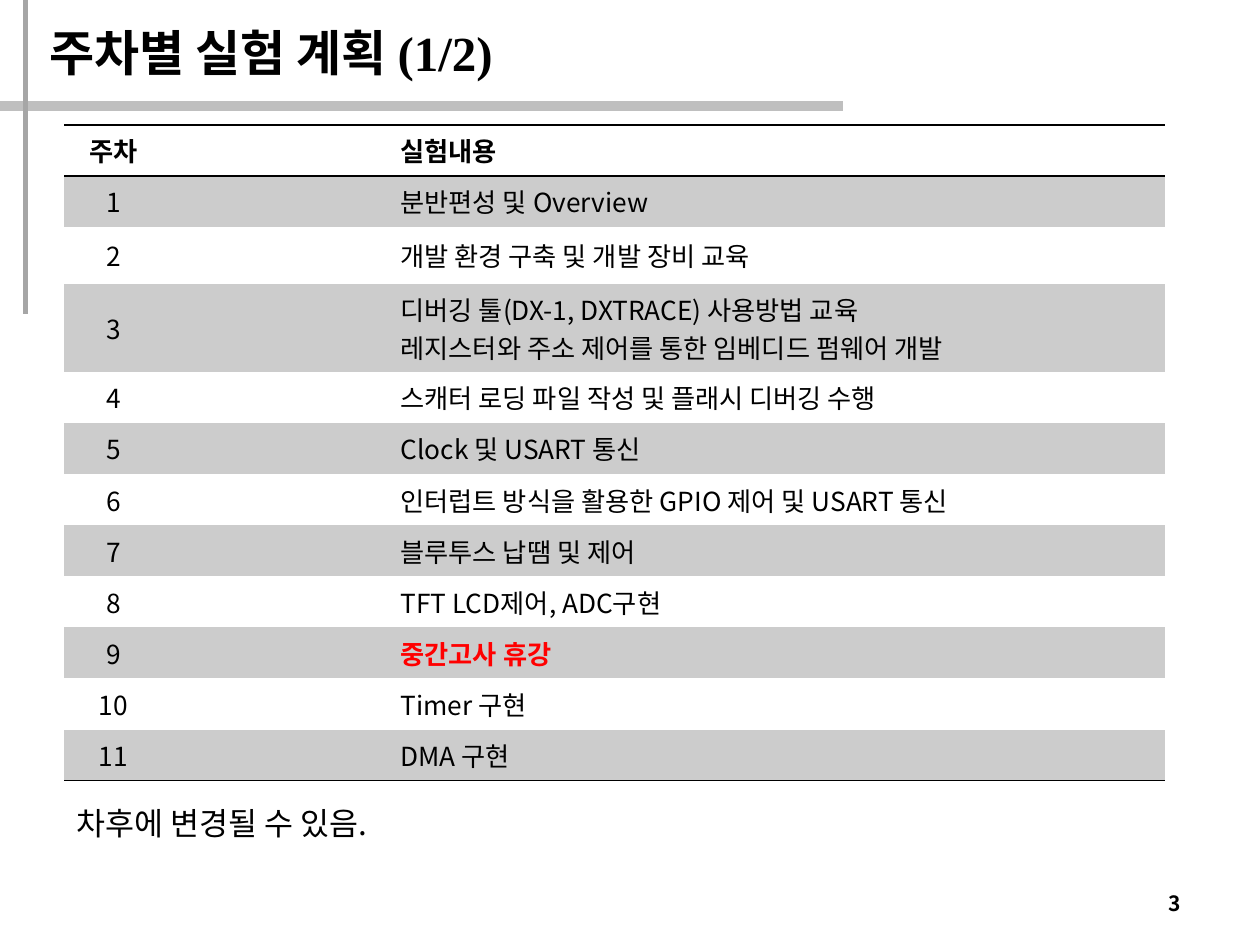
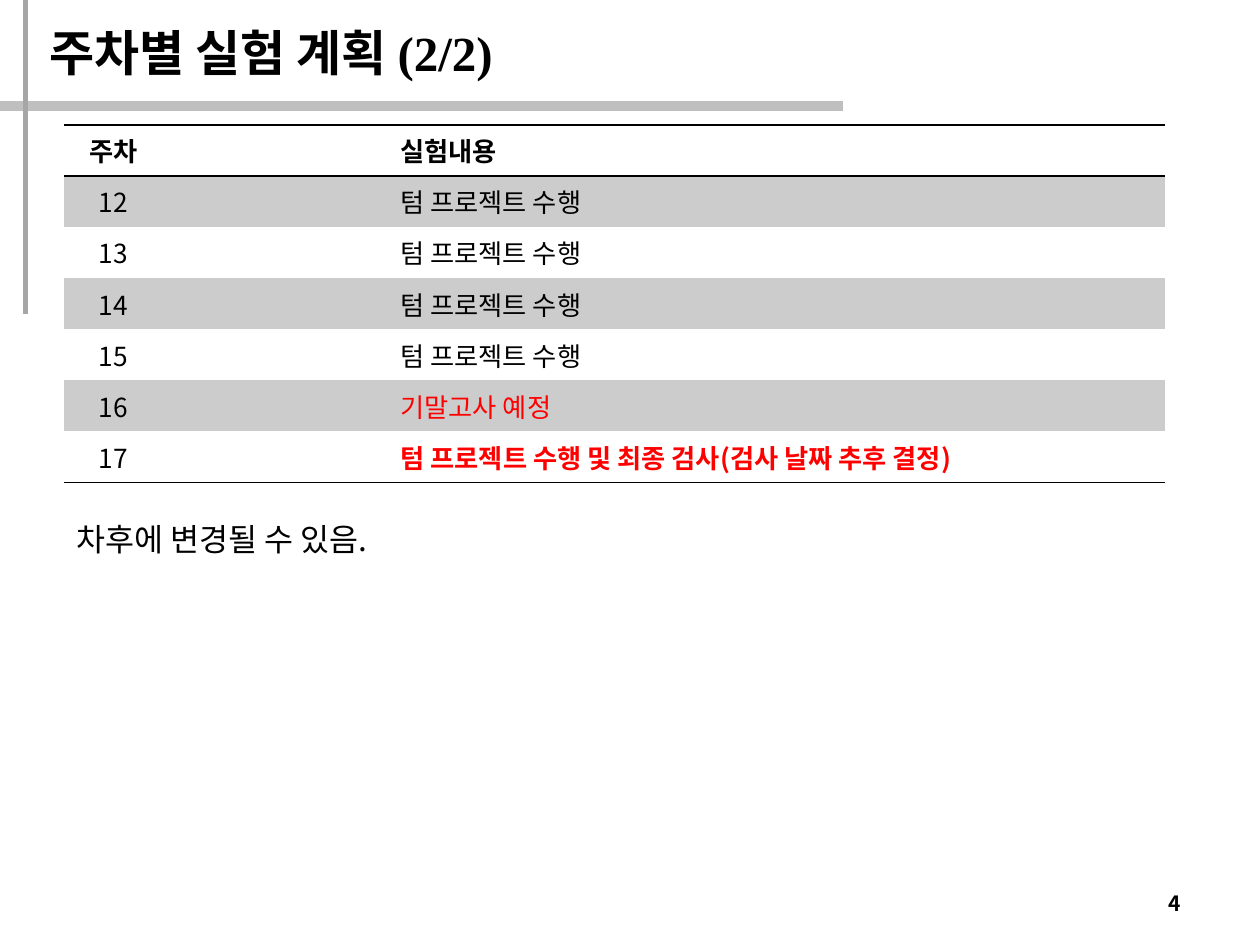
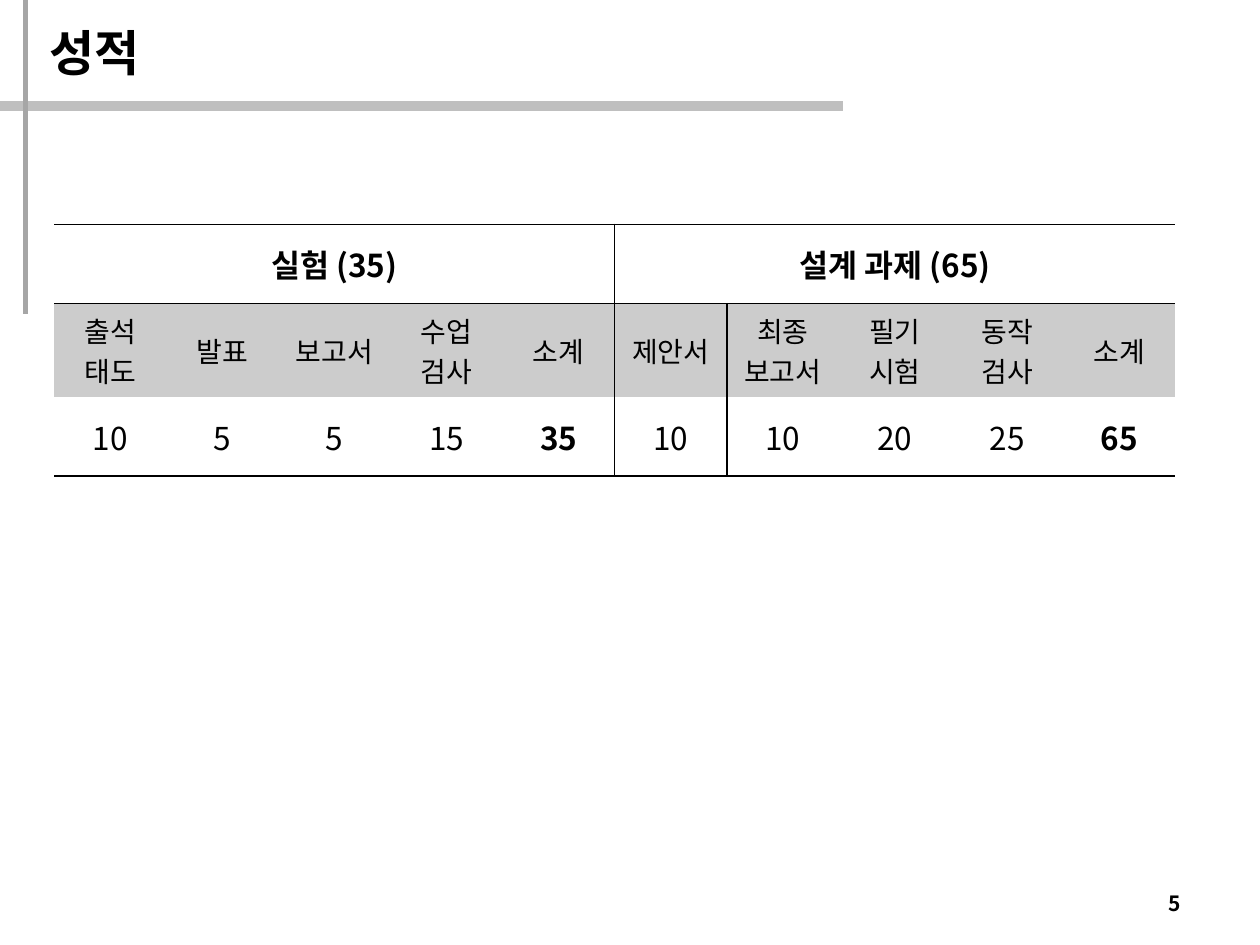
import dataclasses

import pptx
import pptx.dml.color
import pptx.enum.shapes
import pptx.enum.text
import pptx.oxml
import pptx.oxml.ns
import pptx.util

Inches, Pt = pptx.util.Inches, pptx.util.Pt
PP_ALIGN = pptx.enum.text.PP_ALIGN
MIDDLE = pptx.enum.text.MSO_ANCHOR.MIDDLE
qn = pptx.oxml.ns.qn


@dataclasses.dataclass(frozen=True)
class Theme:
    ink: str = "000000"
    alert: str = "FF0000"
    band: str = "CCCCCC"
    wide_rule: str = "BFBFBF"
    thin_rule: str = "A6A6A6"
    title_font: str = "Times New Roman"
    body_font: str = "Noto Sans CJK KR"
    title: int = 28
    large: int = 18
    criterion: int = 16
    schedule: int = 15
    page: int = 12
    plain_table: str = "{2D5ABB26-0587-4C30-8999-92F81FD0307C}"


THEME = Theme()

# Content
SCHEDULE_HEAD = ("주차", "실험내용")
CHANGE_NOTE = "차후에 변경될 수 있음."
RED, BOLD_RED = {"color": THEME.alert}, {"color": THEME.alert, "bold": True}
TERM_PROJECT = "텀 프로젝트 수행"
SCHEDULES = [
    {
        "title": "주차별 실험 계획 (1/2)",
        "first_week": 1,
        "topics": [
            "분반편성 및 Overview",
            "개발 환경 구축 및 개발 장비 교육",
            "디버깅 툴(DX-1, DXTRACE) 사용방법 교육\n"
            "레지스터와 주소 제어를 통한 임베디드 펌웨어 개발",
            "스캐터 로딩 파일 작성 및 플래시 디버깅 수행",
            "Clock 및 USART 통신",
            "인터럽트 방식을 활용한 GPIO 제어 및 USART 통신",
            "블루투스 납땜 및 제어",
            "TFT LCD제어, ADC구현",
            "중간고사 휴강",
            "Timer 구현",
            "DMA 구현",
        ],
        "emphasis": {9: BOLD_RED},
        "tall_weeks": {2: 0.45, 3: 0.7},
        "note_top": 6.33,
    },
    {
        "title": "주차별 실험 계획 (2/2)",
        "first_week": 12,
        "topics": [TERM_PROJECT] * 4 + [
            "기말고사 예정",
            "텀 프로젝트 수행 및 최종 검사(검사 날짜 추후 결정)",
        ],
        "emphasis": {16: RED, 17: BOLD_RED},
        "tall_weeks": {},
        "note_top": 4.08,
    },
]
GRADING_TITLE = "성적"
GRADING = [
    ("실험 (35)", [("출석\n태도", 10), ("발표", 5), ("보고서", 5),
                 ("수업\n검사", 15), ("소계", 35)]),
    ("설계 과제 (65)", [("제안서", 10), ("최종\n보고서", 10), ("필기\n시험", 20),
                    ("동작\n검사", 25), ("소계", 65)]),
]
FIRST_PAGE = 3

# Layout
SCHEDULE_COLUMNS = [0.78, 1.79, 6.17]
WEEK_HEIGHT = Inches(2.84) // 7
GRADING_COLUMN = 0.89
GRADING_ROWS = [0.63, 0.74, 0.63]


# Text and lines
def rgb(color):
    return pptx.dml.color.RGBColor.from_string(color)


def write(frame, text, size, bold=False, color=THEME.ink,
          font=THEME.body_font, align=PP_ALIGN.LEFT):
    for index, line in enumerate(text.split("\n")):
        paragraph = frame.add_paragraph() if index else frame.paragraphs[0]
        paragraph.alignment = align
        run = paragraph.add_run()
        run.text = line
        run.font.name, run.font.size, run.font.bold = font, Pt(size), bold
        run.font.color.rgb = rgb(color)
        east_asian = pptx.oxml.parse_xml(
            f'<a:ea {pptx.oxml.ns.nsdecls("a")} typeface="{THEME.body_font}"/>')
        run.font._element.find(qn("a:latin")).addnext(east_asian)


def text_box(slide, box, text, size, **style):
    frame = slide.shapes.add_textbox(*map(Inches, box)).text_frame
    frame.word_wrap = True
    write(frame, text, size, **style)
    return frame


def rule(slide, start, end, color, width):
    line = slide.shapes.add_connector(
        pptx.enum.shapes.MSO_CONNECTOR.STRAIGHT, *map(Inches, start + end))
    line.line.color.rgb, line.line.width = rgb(color), Pt(width)
    line.element.spPr.append(pptx.oxml.parse_xml(
        f'<a:effectLst {pptx.oxml.ns.nsdecls("a")}/>'))


# Parts shared by all slides
def new_slide(deck, title):
    slide = deck.slides.add_slide(deck.slide_layouts[5])
    rule(slide, (-0.01, 0.84), (6.69, 0.84), THEME.wide_rule, 6)
    rule(slide, (0.2, 0), (0.2, 2.49), THEME.thin_rule, 3)
    heading = slide.shapes.title
    heading.left, heading.top, heading.width, heading.height = map(
        Inches, (0.29, 0.1, 7.56, 0.62))
    frame = heading.text_frame
    frame.auto_size = pptx.enum.text.MSO_AUTO_SIZE.NONE
    frame.vertical_anchor = MIDDLE
    write(frame, title, THEME.title, bold=True, font=THEME.title_font)
    page = FIRST_PAGE + len(deck.slides) - 1
    text_box(slide, (7.14, 6.97, 2.33, 0.4), str(page), THEME.page, bold=True,
             align=PP_ALIGN.RIGHT).vertical_anchor = MIDDLE
    return slide


# Tables
def new_table(slide, left, top, widths, heights):
    holder = slide.shapes.add_table(
        len(heights), len(widths), Inches(left), Inches(top),
        sum(widths), sum(heights))
    table = holder.table
    table.first_row = table.horz_banding = False
    holder.element.find(".//" + qn("a:tableStyleId")).text = THEME.plain_table
    for column, width in zip(table.columns, widths):
        column.width = width
    for row, height in zip(table.rows, heights):
        row.height = height
    return table


def finish_cell(cell, sides, banded):
    cell.vertical_anchor = MIDDLE
    properties = cell._tc.get_or_add_tcPr()
    for side in (side for side in "LRTB" if side in sides):
        properties.append(pptx.oxml.parse_xml(
            f'<a:ln{side} {pptx.oxml.ns.nsdecls("a")} w="{Pt(1)}"><a:solidFill>'
            f'<a:srgbClr val="{THEME.ink}"/></a:solidFill></a:ln{side}>'))
    if banded:
        cell.fill.solid()
        cell.fill.fore_color.rgb = rgb(THEME.band)
    else:
        cell.fill.background()


def schedule_slide(deck, plan):
    slide = new_slide(deck, plan["title"])
    weeks = list(enumerate(plan["topics"], plan["first_week"]))
    heights = [WEEK_HEIGHT] + [
        Inches(plan["tall_weeks"][week]) if week in plan["tall_weeks"] else WEEK_HEIGHT
        for week, _ in weeks]
    table = new_table(slide, 0.51, 0.99, [Inches(w) for w in SCHEDULE_COLUMNS], heights)
    head = {"bold": True}
    rows = [(*SCHEDULE_HEAD, head, head)] + [
        (str(week), topic, {}, plan["emphasis"].get(week, {})) for week, topic in weeks]
    for r, (week, topic, week_style, topic_style) in enumerate(rows):
        write(table.cell(r, 0).text_frame, week, THEME.schedule,
              align=PP_ALIGN.CENTER, **week_style)
        write(table.cell(r, 2).text_frame, topic, THEME.schedule, **topic_style)
        sides = "TB" if r == 0 else "B" if r == len(weeks) else ""
        for c in range(len(SCHEDULE_COLUMNS)):
            finish_cell(table.cell(r, c), sides, banded=r % 2 == 1)
    text_box(slide, (0.51, plan["note_top"], 4.25, 0.4), CHANGE_NOTE, THEME.large)


def grading_slide(deck):
    slide = new_slide(deck, GRADING_TITLE)
    criteria = [item for _, items in GRADING for item in items]
    table = new_table(slide, 0.43, 1.78, [Inches(GRADING_COLUMN)] * len(criteria),
                      [Inches(height) for height in GRADING_ROWS])
    center = {"align": PP_ALIGN.CENTER}
    group_start = 0
    for group, items in GRADING:
        group_cell = table.cell(0, group_start)
        write(group_cell.text_frame, group, THEME.large, bold=True, **center)
        group_cell.merge(table.cell(0, group_start + len(items) - 1))
        group_start += len(items)
    for c, (criterion, points) in enumerate(criteria):
        write(table.cell(1, c).text_frame, criterion, THEME.criterion, **center)
        write(table.cell(2, c).text_frame, str(points), THEME.large,
              bold=criterion == "소계", **center)
    # Vertical lines stand around the first column of the second group
    divider = len(GRADING[0][1])
    for r, edges in enumerate(("TB", "", "B")):
        for c in range(len(criteria)):
            sides = edges
            if c == divider:
                sides += "LR" if r else "L"
            elif c == divider - 1 or (r == 0 and c == 0):
                sides += "R"
            finish_cell(table.cell(r, c), sides, banded=r == 1)


def main():
    deck = pptx.Presentation()
    deck.slide_width, deck.slide_height = Inches(10), Inches(7.5)
    for plan in SCHEDULES:
        schedule_slide(deck, plan)
    grading_slide(deck)
    deck.save("out.pptx")


if __name__ == "__main__":
    main()
